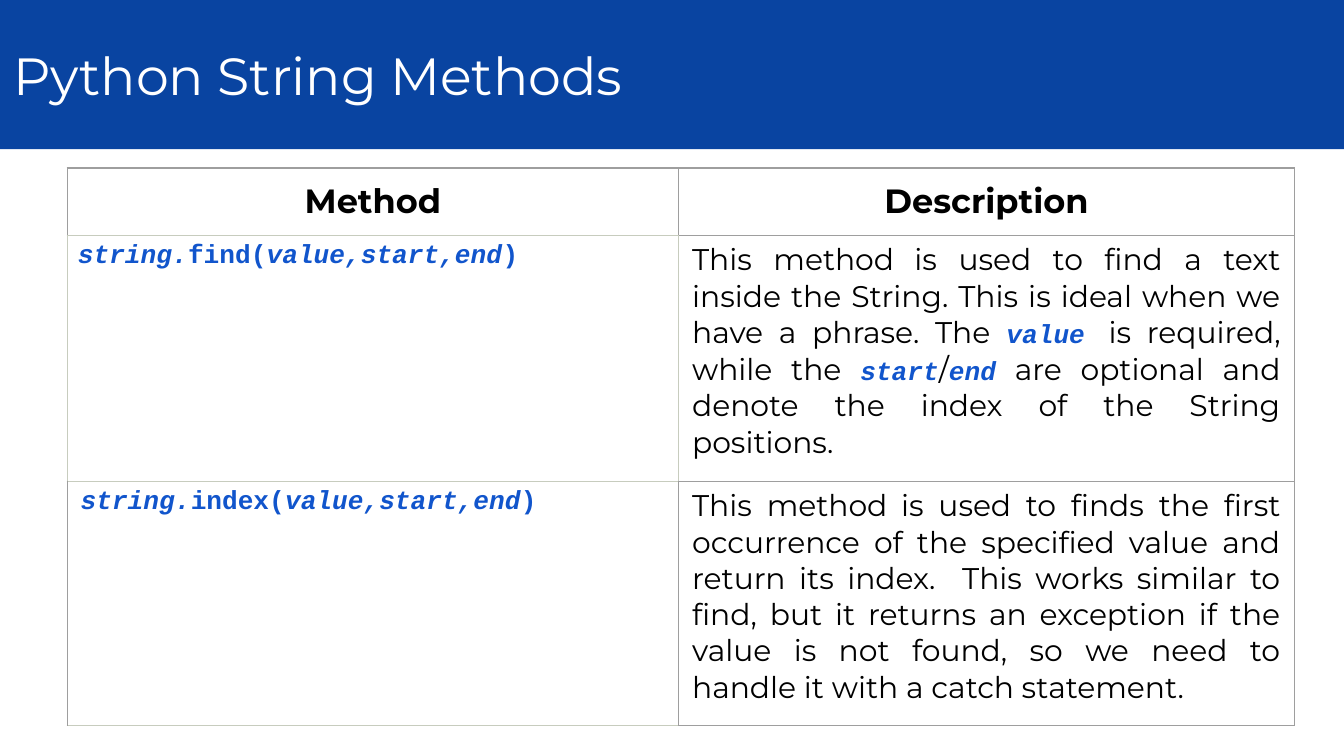
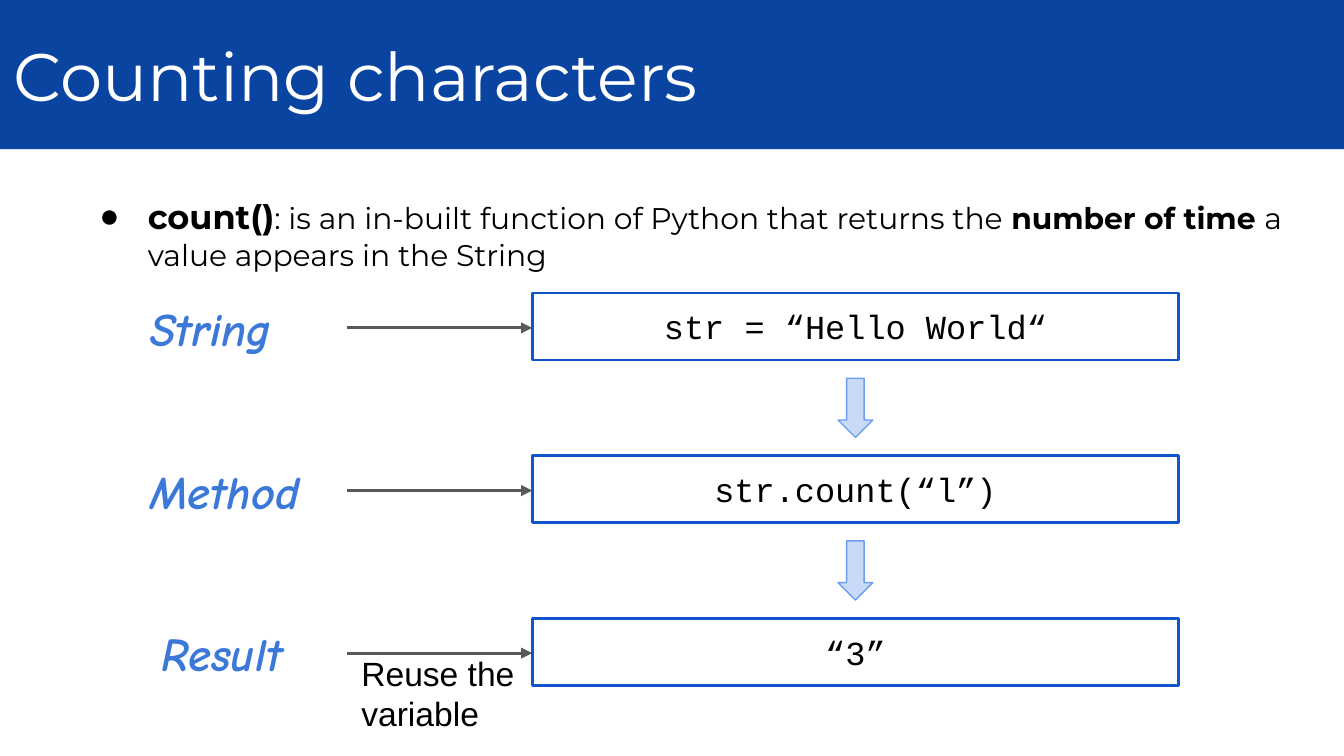
from lxml.etree import SubElement
from pptx import Presentation
from pptx.dml.color import RGBColor
from pptx.enum.shapes import MSO_CONNECTOR, MSO_SHAPE
from pptx.enum.text import MSO_ANCHOR, MSO_AUTO_SIZE, PP_ALIGN
from pptx.oxml.ns import qn
from pptx.util import Inches, Pt

WIDTH = 10
HEIGHT = WIDTH * 9 / 16
BAND_HEIGHT = 1.11
COLORS = {
    "band": "0944A1", "white": "FFFFFF", "black": "000000", "code": "1155CC",
    "grid": "9E9E9E", "pale grid": "C7CCBE", "label": "3C78D8", "gap": "273239",
    "connector": "595959", "arrow fill": "C9DAF8", "arrow line": "6D9EEB",
}

# Text styles: font, size, colour, bold, italic
STYLES = {
    "head": ("Montserrat", 18, "black", True, False),
    "text": ("Montserrat", 16, "black", False, False),
    "strong": ("Montserrat", 16, "black", True, False),
    "small": ("Montserrat", 13, "gap", False, False),
    "name": ("Courier New", 14, "code", True, False),
    "argument": ("Courier New", 14, "code", True, True),
    "label": ("Comic Neue", 25, "label", True, True),
    "sample": ("Courier New", 18, "black", False, False),
    "note": ("Arial", 18, "black", False, False),
}


# Content: every text is a list of (style, words)
def signature(method):
    return [("argument", "string."), ("name", method + "("),
            ("argument", "value,start,end"), ("name", ")")]


METHOD_ROWS = [
    ([("head", "Method")], [("head", "Description")]),
    (signature("find"), [
        ("text", "This method"), ("small", " "),
        ("text", "is used to find a text inside the String. This is ideal "
                 "when we have a phrase. The "),
        ("argument", "value "), ("text", "is required, while the "),
        ("argument", "start"), ("text", "/"), ("argument", "end"),
        ("text", " are optional and denote the index of the String positions."),
    ]),
    (signature("index"), [
        ("text", "This method"), ("small", " "),
        ("text", "is used to finds the first occurrence of the specified value "
                 "and return its index.  This works similar to find, but it "
                 "returns an exception if the value is not found, so we need "
                 "to handle it with a catch statement. "),
    ]),
]
COLUMN_WIDTHS = (4.55, 4.58)
ROW_HEIGHTS = (0.5, 1.83, 1.82)
# Edges drawn in the paler grid colour, by (row, column)
PALE_EDGES = {(0, 0): "B", (1, 0): "LRTB", (1, 1): "L", (2, 0): "TB"}

COUNT_INTRO = [
    ("head", "count()"),
    ("text", ": is an in-built function of Python that returns the "),
    ("strong", "number of time "),
    ("text", "a value appears in the String"),
]
# Label, its left edge and width, sample code
COUNT_STEPS = [
    ("String", 1.02, 1.56, "str = “Hello World“"),
    ("Method", 1.02, 1.56, "str.count(“l”)"),
    ("Result", 1.1, 1.39, "“3”"),
]
STEP_TOP, STEP_PITCH = 2.18, 1.21
SAMPLE_LEFT, SAMPLE_WIDTH, SAMPLE_HEIGHT = 3.96, 4.81, 0.5
CONNECTOR_LEFT = 2.58
ARROW_WIDTH, ARROW_HEIGHT = 0.26, 0.44


def rgb(name):
    return RGBColor.from_string(COLORS[name])


def set_margins(frame, side, top):
    frame.margin_left = frame.margin_right = Inches(side)
    frame.margin_top = frame.margin_bottom = Inches(top)


def write(frame, spans, align=PP_ALIGN.LEFT):
    para = frame.paragraphs[0]
    para.alignment = align
    para.space_before = Pt(0)
    for style, words in spans:
        span = para.add_run()
        span.text = words
        name, size, color, bold, italic = STYLES[style]
        span.font.name, span.font.size = name, Pt(size)
        span.font.bold, span.font.italic = bold, italic
        span.font.color.rgb = rgb(color)


def place(shape, left, top, width, height):
    shape.left, shape.top = Inches(left), Inches(top)
    shape.width, shape.height = Inches(width), Inches(height)


def add_page(deck, layout, title, size):
    page = deck.slides.add_slide(deck.slide_layouts[layout])
    band = page.shapes.title
    place(band, 0, 0, WIDTH, BAND_HEIGHT)
    band.fill.solid()
    band.fill.fore_color.rgb = rgb("band")
    frame = band.text_frame
    frame.text = title
    frame.auto_size = MSO_AUTO_SIZE.NONE
    frame.vertical_anchor = MSO_ANCHOR.MIDDLE
    set_margins(frame, 0.1, 0.1)
    para = frame.paragraphs[0]
    para.alignment = PP_ALIGN.LEFT
    font = para.runs[0].font
    font.name, font.size, font.color.rgb = "Montserrat", Pt(size), rgb("white")
    return page


def add_text(page, area, spans, inset=0.1):
    box = page.shapes.add_textbox(*map(Inches, area))
    box.text_frame.word_wrap = True
    set_margins(box.text_frame, 0.1, inset)
    write(box.text_frame, spans)


def add_outlined(page, kind, area, color, weight):
    shape = page.shapes.add_shape(kind, *map(Inches, area))
    shape.shadow.inherit = False
    shape.fill.background()
    shape.line.color.rgb = rgb(color)
    shape.line.width = Pt(weight)
    return shape


def set_borders(cell, pale):
    properties = cell._tc.get_or_add_tcPr()
    for index, edge in enumerate("LRTB"):
        line = SubElement(properties, qn("a:ln" + edge), w=str(Pt(0.75)))
        fill = SubElement(line, qn("a:solidFill"))
        color = COLORS["pale grid" if edge in pale else "grid"]
        SubElement(fill, qn("a:srgbClr"), val=color)
        properties.insert(index, line)


def add_methods_page(deck):
    page = add_page(deck, 5, "Python String Methods", 28)
    table = page.shapes.add_table(
        len(ROW_HEIGHTS), len(COLUMN_WIDTHS), Inches(0.5), Inches(1.25),
        Inches(sum(COLUMN_WIDTHS)), Inches(sum(ROW_HEIGHTS))).table
    table.first_row = table.horz_banding = False
    for column, width in zip(table.columns, COLUMN_WIDTHS):
        column.width = Inches(width)
    for row, height in zip(table.rows, ROW_HEIGHTS):
        row.height = Inches(height)
    for i, texts in enumerate(METHOD_ROWS):
        for j, spans in enumerate(texts):
            cell = table.cell(i, j)
            cell.fill.background()
            set_margins(cell, 0.08 if (i, j) == (1, 0) else 0.1, 0.05)
            cell.vertical_anchor = MSO_ANCHOR.TOP if i else MSO_ANCHOR.MIDDLE
            body_align = PP_ALIGN.JUSTIFY if j else PP_ALIGN.LEFT
            write(cell.text_frame, spans, body_align if i else PP_ALIGN.CENTER)
            set_borders(cell, PALE_EDGES.get((i, j), ""))


def add_connector_arrow(page, y):
    line = page.shapes.add_connector(
        MSO_CONNECTOR.STRAIGHT, Inches(CONNECTOR_LEFT), Inches(y),
        Inches(SAMPLE_LEFT), Inches(y))
    line.line.color.rgb = rgb("connector")
    line.line.width = Pt(1.5)
    outline = line._element.spPr.find(qn("a:ln"))
    SubElement(outline, qn("a:tailEnd"), type="triangle")
    SubElement(line._element.spPr, qn("a:effectLst"))


def add_counting_page(deck):
    page = add_page(deck, 1, "Counting characters", 36)

    # Bulleted introduction
    body = page.placeholders[1]
    place(body, 0.5, 1.36, 9.14, 3.97)
    frame = body.text_frame
    frame.auto_size = MSO_AUTO_SIZE.NONE
    set_margins(frame, 0.1, 0.1)
    properties = frame.paragraphs[0]._p.get_or_add_pPr()
    properties.set("marL", str(Inches(0.5)))
    properties.set("indent", str(Inches(-0.36)))
    bullet_color = SubElement(properties, qn("a:buClr"))
    SubElement(bullet_color, qn("a:srgbClr"), val=COLORS["black"])
    SubElement(properties, qn("a:buChar"), char="●")
    write(frame, COUNT_INTRO)

    # Steps: label, connector, sample code and an arrow to the next step
    for i, (label, left, width, code) in enumerate(COUNT_STEPS):
        top = STEP_TOP + i * STEP_PITCH
        add_text(page, (left, top - 0.05, width, 0.62), [("label", label)])
        sample = add_outlined(
            page, MSO_SHAPE.RECTANGLE,
            (SAMPLE_LEFT, top, SAMPLE_WIDTH, SAMPLE_HEIGHT), "code", 1.5)
        sample.text_frame.vertical_anchor = MSO_ANCHOR.TOP
        set_margins(sample.text_frame, 0.1, 0.1)
        write(sample.text_frame, [("sample", code)], PP_ALIGN.CENTER)
        add_connector_arrow(page, top + 0.26)
        if i < len(COUNT_STEPS) - 1:
            center = SAMPLE_LEFT + SAMPLE_WIDTH / 2
            gap = STEP_PITCH - SAMPLE_HEIGHT
            arrow_top = top + SAMPLE_HEIGHT + (gap - ARROW_HEIGHT) / 2
            arrow = add_outlined(
                page, MSO_SHAPE.DOWN_ARROW,
                (center - ARROW_WIDTH / 2, arrow_top, ARROW_WIDTH, ARROW_HEIGHT),
                "arrow line", 0.75)
            arrow.fill.solid()
            arrow.fill.fore_color.rgb = rgb("arrow fill")

    # Remark under the last connector
    add_text(page, (2.59, 4.81, 2.28, 0.66), [("note", "Reuse the variable")], 0.05)


def main():
    deck = Presentation()
    deck.slide_width, deck.slide_height = Inches(WIDTH), Inches(HEIGHT)
    add_methods_page(deck)
    add_counting_page(deck)
    deck.save("out.pptx")


if __name__ == "__main__":
    main()
